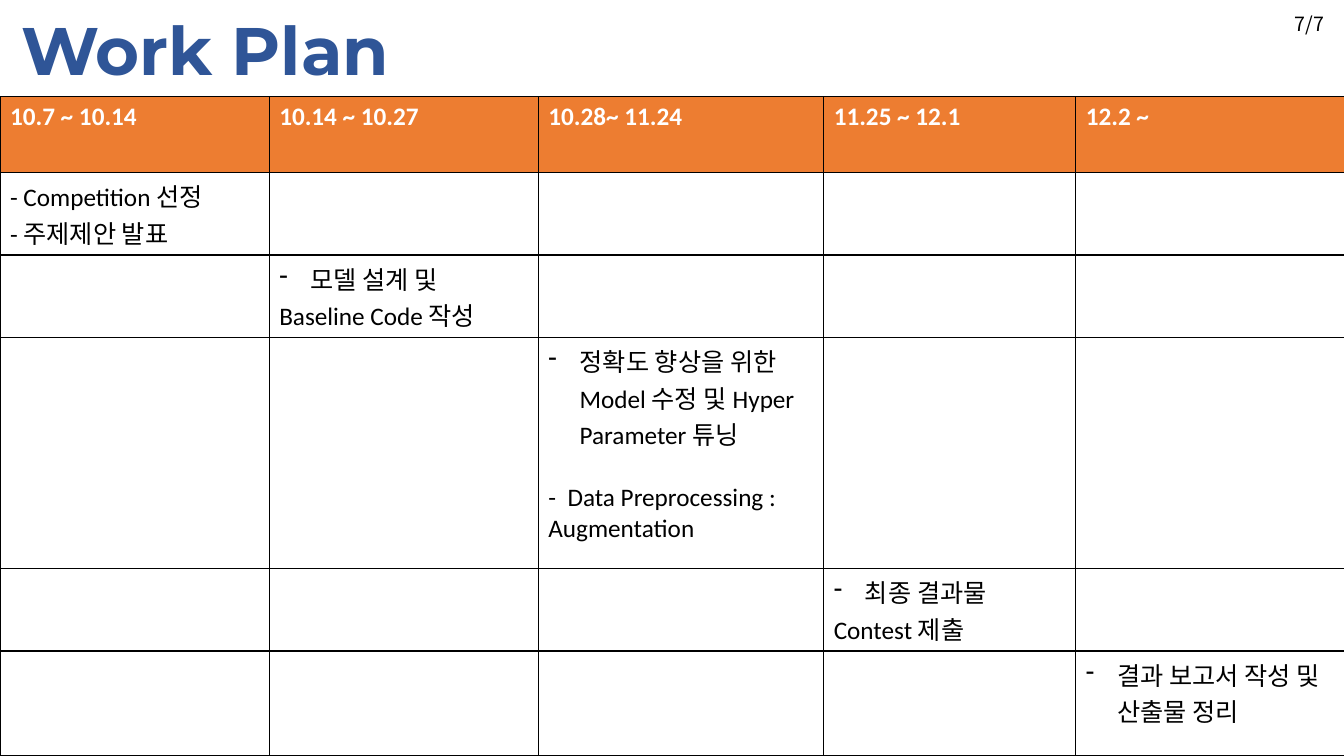
from lxml.etree import SubElement
from pptx import Presentation
from pptx.dml.color import RGBColor
from pptx.enum.text import MSO_ANCHOR, MSO_AUTO_SIZE, PP_ALIGN
from pptx.oxml.ns import qn
from pptx.util import Inches, Pt

BLACK = RGBColor(0, 0, 0)
WHITE = RGBColor(0xFF, 0xFF, 0xFF)
BLUE = RGBColor(0x2F, 0x55, 0x97)
ORANGE = RGBColor(0xED, 0x7D, 0x31)
KOREAN_FONT = "Noto Sans CJK KR"

COL_WIDTHS = [2.67, 2.67, 2.83, 2.5, 2.67]
ROW_HEIGHTS = [0.75, 0.82, 0.82, 2.29, 0.82, 1.04]
PERIODS = ["10.7 ~ 10.14", "10.14 ~ 10.27", "10.28~ 11.24", "11.25 ~ 12.1", "12.2 ~"]
# One entry per period: (text, bulleted, space before in points)
TASKS = [
    [("- Competition 선정", False, 0), ("- 주제제안 발표", False, 0)],
    [("모델 설계 및", True, 0), ("Baseline Code 작성", False, 0)],
    [("정확도 향상을 위한 Model 수정 및 Hyper Parameter 튜닝", True, 0),
     ("-  Data Preprocessing : Augmentation", False, 22)],
    [("최종 결과물", True, 0), ("Contest 제출", False, 0)],
    [("결과 보고서 작성 및 산출물 정리", True, 0)],
]


def format_runs(p, size, font, color, bold=False):
    for r in p.runs:
        r.font.size = Pt(size)
        r.font.name = font
        r.font.bold = bold
        r.font.color.rgb = color
        SubElement(r.font._element, qn("a:ea"), typeface=KOREAN_FONT)


def add_dash_bullet(p):
    pPr = p._p.get_or_add_pPr()
    pPr.set("marL", str(Inches(0.31)))
    pPr.set("indent", str(-Inches(0.31)))
    SubElement(pPr, qn("a:buChar"), char="-")


def add_borders(cell):
    tcPr = cell._tc.get_or_add_tcPr()
    for side in ("lnL", "lnR", "lnT", "lnB"):
        ln = SubElement(tcPr, qn(f"a:{side}"), w=str(Pt(1)))
        fill = SubElement(ln, qn("a:solidFill"))
        SubElement(fill, qn("a:srgbClr"), val=str(BLACK))


def place_title(slide, left, top, width, height):
    sp = slide.shapes.title
    sp.left, sp.top, sp.width, sp.height = map(Inches, (left, top, width, height))
    tf = sp.text_frame
    tf.text = "Work Plan"
    tf.auto_size = MSO_AUTO_SIZE.NONE
    tf.vertical_anchor = MSO_ANCHOR.TOP
    p = tf.paragraphs[0]
    p.alignment = PP_ALIGN.LEFT
    format_runs(p, 48, "Montserrat", BLUE, bold=True)


def add_page_number(slide, left, top, width, height):
    sp = slide.shapes.add_textbox(*map(Inches, (left, top, width, height)))
    tf = sp.text_frame
    tf.text = "7/7"
    tf.word_wrap = True
    tf.vertical_anchor = MSO_ANCHOR.BOTTOM
    p = tf.paragraphs[0]
    p.alignment = PP_ALIGN.CENTER
    p.line_spacing = 0.9
    format_runs(p, 14, KOREAN_FONT, BLACK)


def fill_task(cell, task):
    tf = cell.text_frame
    tf.text = "\n".join(text for text, _, _ in task)
    for p, (_, bulleted, gap) in zip(tf.paragraphs, task):
        if gap:
            p.space_before = Pt(gap)
        if bulleted:
            add_dash_bullet(p)
        format_runs(p, 18, "Calibri", BLACK)


def add_schedule(slide, left, top, width, height):
    """Header of periods, with each period's task on the diagonal below."""
    frame = slide.shapes.add_table(len(ROW_HEIGHTS), len(COL_WIDTHS),
                                   *map(Inches, (left, top, width, height)))
    table = frame.table
    table.horz_banding = False
    for col, col_width in zip(table.columns, COL_WIDTHS):
        col.width = Inches(col_width)
    for row, row_height in zip(table.rows, ROW_HEIGHTS):
        row.height = Inches(row_height)
    for cell in table.iter_cells():
        add_borders(cell)
        cell.fill.background()
    for i, (period, task) in enumerate(zip(PERIODS, TASKS)):
        header = table.cell(0, i)
        header.fill.solid()
        header.fill.fore_color.rgb = ORANGE
        header.text_frame.text = period
        format_runs(header.text_frame.paragraphs[0], 18, "Calibri", WHITE, bold=True)
        fill_task(table.cell(i + 1, i), task)


def main():
    prs = Presentation()
    prs.slide_width, prs.slide_height = Inches(13.33), Inches(7.5)
    slide = prs.slides.add_slide(prs.slide_layouts[5])
    place_title(slide, 0.11, 0.03, 12.96, 0.91)
    add_page_number(slide, 12.71, 0.05, 0.56, 0.35)
    add_schedule(slide, 0, 0.96, 13.33, 6.53)
    prs.save("out.pptx")


if __name__ == "__main__":
    main()
